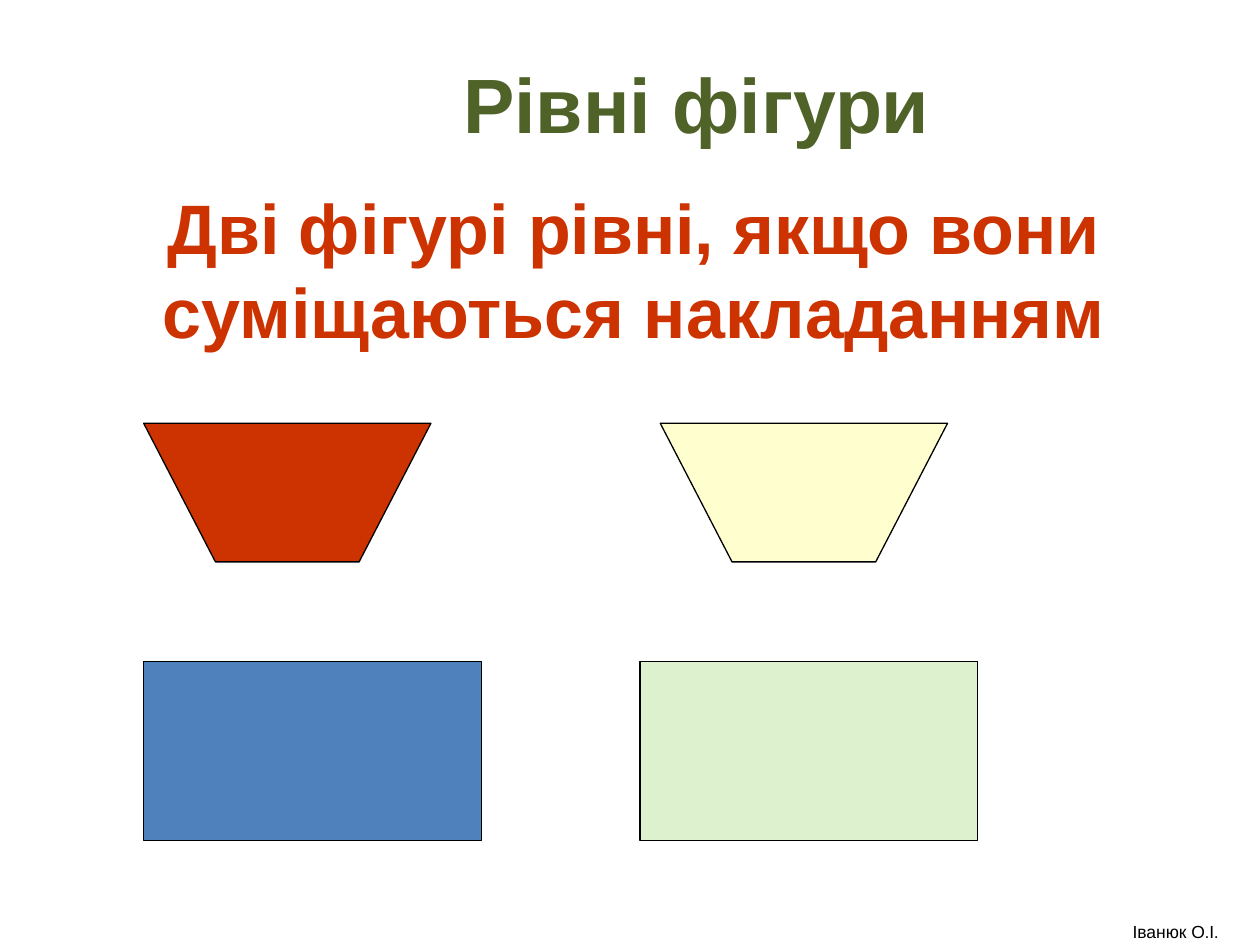
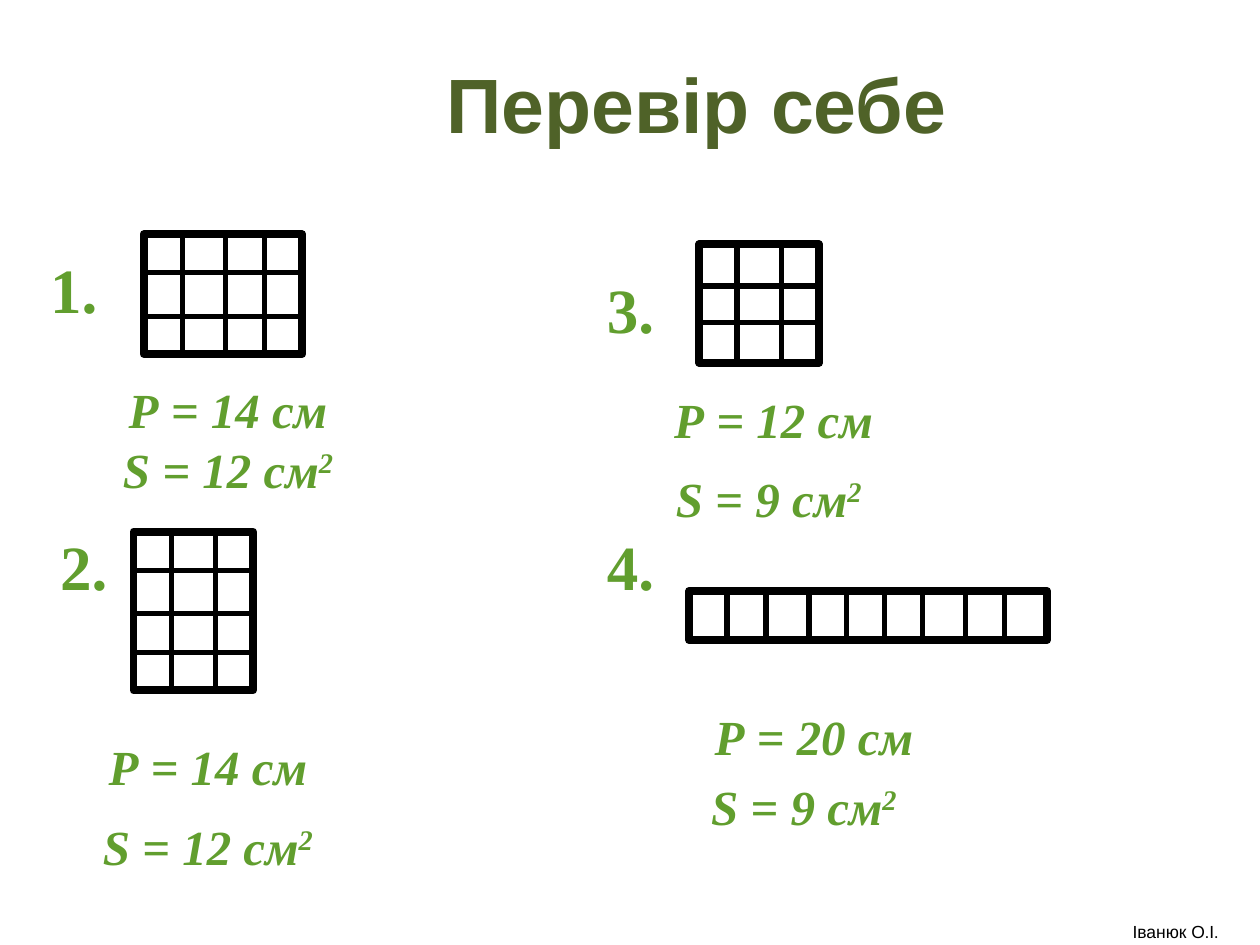
from dataclasses import dataclass

import pptx
import pptx.dml.color
import pptx.enum.shapes
import pptx.enum.text
import pptx.oxml
import pptx.util

Inches = pptx.util.Inches
Pt = pptx.util.Pt


@dataclass(frozen=True)
class Theme:
    black: str = "000000"
    title: str = "4F6228"
    red: str = "CC3300"
    cream: str = "FFFECE"
    blue: str = "4F81BD"
    pale_green: str = "DEF1CF"
    answer: str = "619E2E"
    sans: str = "Arial"
    serif: str = "Times New Roman"
    footer_dot: str = "TeX Gyre Pagella"
    title_size: int = 44
    rule_size: int = 40
    number_size: int = 36
    answer_size: int = 28
    footer_size: int = 10
    thin_line: float = 0.75
    cell_line: float = 3
    frame_line: float = 4.5


THEME = Theme()

THREE_CUTS = (0.3, 0.65)
FOUR_CUTS = (0.31, 0.65, 0.96)
NINE_CUTS = (0.3, 0.61, 0.95, 1.25, 1.55, 1.85, 2.19, 2.5)


def rgb(color):
    return pptx.dml.color.RGBColor.from_string(color)


def style_run(run, font_name, size, color, bold=False, italic=False):
    font = run.font
    font.name, font.size = font_name, Pt(size)
    font.bold, font.italic = bold, italic
    font.color.rgb = rgb(color)


def add_text_box(slide, box, text, font_name, size, color,
                 bold=True, italic=False, middle=False):
    """Add a centred paragraph in box (left, top, width, height) and return it."""
    text_frame = slide.shapes.add_textbox(*map(Inches, box)).text_frame
    text_frame.word_wrap = True
    anchor = pptx.enum.text.MSO_ANCHOR
    text_frame.vertical_anchor = anchor.MIDDLE if middle else anchor.TOP
    text_frame.text = text
    paragraph = text_frame.paragraphs[0]
    paragraph.alignment = pptx.enum.text.PP_ALIGN.CENTER
    style_run(paragraph.runs[0], font_name, size, color, bold, italic)
    return paragraph


def add_title(slide, text):
    add_text_box(slide, (1.56, 0.3, 7.94, 1.03), text, THEME.sans,
                 THEME.title_size, THEME.title, middle=True)


def add_footer(slide):
    paragraph = add_text_box(slide, (8.66, 7.26, 1.34, 0.24), "Іванюк О",
                             THEME.sans, THEME.footer_size, THEME.black, bold=False)
    for text, font_name in ((".", THEME.footer_dot), ("І", THEME.sans),
                            (".", THEME.footer_dot)):
        run = paragraph.add_run()
        run.text = text
        style_run(run, font_name, THEME.footer_size, THEME.black)


def style_shape(shape, line_width, fill=None):
    shape.shadow.inherit = False
    if fill:
        shape.fill.solid()
        shape.fill.fore_color.rgb = rgb(fill)
    else:
        shape.fill.background()
    shape.line.color.rgb = rgb(THEME.black)
    shape.line.width = Pt(line_width)


def add_rectangle(shapes, box, line_width, fill=None):
    kind = pptx.enum.shapes.MSO_SHAPE.RECTANGLE
    style_shape(shapes.add_shape(kind, *map(Inches, box)), line_width, fill)


def add_trapezoid(slide, left, top, width, height, fill):
    """Add a trapezoid with its wide side up and a base half as wide."""
    inset = width / 4
    corners = [(left, top), (left + width, top),
               (left + width - inset, top + height), (left + inset, top + height)]
    points = [(Inches(x), Inches(y)) for x, y in corners]
    builder = slide.shapes.build_freeform(*points[0])
    builder.add_line_segments(points[1:], close=True)
    style_shape(builder.convert_to_shape(), THEME.thin_line, fill)


def add_line(shapes, *ends):
    line = shapes.add_connector(pptx.enum.shapes.MSO_CONNECTOR.STRAIGHT,
                                *map(Inches, ends))
    line.line.color.rgb = rgb(THEME.black)
    line.line.width = Pt(THEME.cell_line)
    properties = line._element.spPr
    properties.append(pptx.oxml.parse_xml(
        '<a:effectLst xmlns:a="http://schemas.openxmlformats.org/drawingml/2006/main"/>'))


def add_cell_grid(slide, box, column_cuts, row_cuts=()):
    """Group a frame with cell lines at the given offsets from its left and top."""
    left, top, width, height = box
    shapes = slide.shapes.add_group_shape().shapes
    add_rectangle(shapes, box, THEME.frame_line)
    for cut in column_cuts:
        add_line(shapes, left + cut, top, left + cut, top + height)
    for cut in row_cuts:
        add_line(shapes, left, top + cut, left + width, top + cut)


def add_number(slide, left, top, text):
    add_text_box(slide, (left, top, 0.63, 0.7), text, THEME.serif,
                 THEME.number_size, THEME.answer)


def add_measure(slide, left, top, text, squared=False, width=2.76):
    paragraph = add_text_box(slide, (left, top, width, 0.57), text, THEME.serif,
                             THEME.answer_size, THEME.answer, italic=True)
    if squared:
        run = paragraph.add_run()
        run.text = "2"
        style_run(run, THEME.serif, THEME.answer_size, THEME.answer, True, True)
        run.font._element.set("baseline", "30000")


def build_equal_figures(slide):
    add_title(slide, "Рівні фігури")
    add_text_box(slide, (1.06, 1.62, 7.94, 1.03),
                 "Дві фігурі рівні, якщо вони суміщаються накладанням",
                 THEME.sans, THEME.rule_size, THEME.red, middle=True)
    for left, fill in ((1.14, THEME.red), (5.24, THEME.cream)):
        add_trapezoid(slide, left, 3.36, 2.28, 1.1, fill)
    for left, fill in ((1.14, THEME.blue), (5.08, THEME.pale_green)):
        add_rectangle(slide.shapes, (left, 5.25, 2.68, 1.42), THEME.thin_line, fill)
    add_footer(slide)


def build_self_check(slide):
    add_title(slide, "Перевір себе")

    add_number(slide, 0.27, 1.94, "1.")
    add_cell_grid(slide, (1.14, 1.86, 1.26, 0.95), FOUR_CUTS, THREE_CUTS)
    add_measure(slide, 0.43, 2.96, "Р = 14 см")
    add_measure(slide, 0.43, 3.44, "S = 12 см", squared=True)

    add_number(slide, 0.35, 4.14, "2.")
    add_cell_grid(slide, (1.06, 4.22, 0.95, 1.26), THREE_CUTS, FOUR_CUTS)
    add_measure(slide, 0.27, 5.8, "Р = 14 см")
    add_measure(slide, 0.27, 6.43, "S = 12 см", squared=True)

    add_number(slide, 4.69, 2.1, "3.")
    add_cell_grid(slide, (5.55, 1.94, 0.95, 0.94), THREE_CUTS, (0.33, 0.62))
    add_measure(slide, 4.76, 3.04, "Р = 12 см")
    add_measure(slide, 4.84, 3.67, "S = 9 см", squared=True, width=2.52)

    add_number(slide, 4.69, 4.14, "4.")
    add_cell_grid(slide, (5.47, 4.69, 2.84, 0.39), NINE_CUTS)
    add_measure(slide, 5.08, 5.56, "Р = 20 см")
    add_measure(slide, 5, 6.11, "S = 9 см", squared=True)
    add_footer(slide)


def main():
    presentation = pptx.Presentation()
    presentation.slide_width = Inches(10)
    presentation.slide_height = Inches(7.5)
    blank_layout = presentation.slide_layouts[6]
    for build in (build_equal_figures, build_self_check):
        build(presentation.slides.add_slide(blank_layout))
    presentation.save("out.pptx")


if __name__ == "__main__":
    main()
